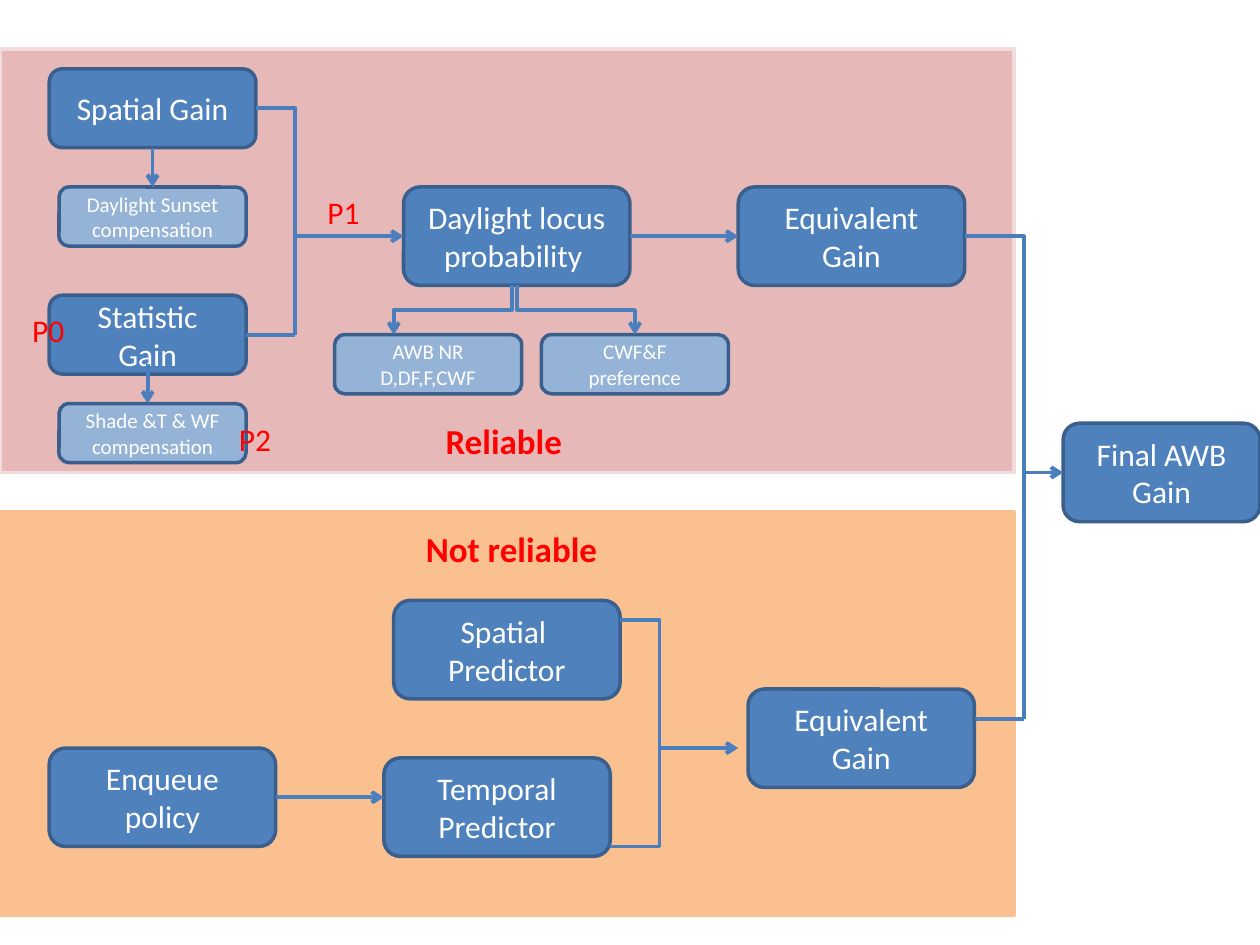
import dataclasses

import lxml.etree
import pptx
import pptx.dml.color
import pptx.enum.shapes
import pptx.enum.text
import pptx.oxml.ns
import pptx.util

SHAPE = pptx.enum.shapes.MSO_SHAPE
CONNECTOR = pptx.enum.shapes.MSO_CONNECTOR
ALIGN = pptx.enum.text.PP_ALIGN
qn = pptx.oxml.ns.qn
COLUMNS = 128


@dataclasses.dataclass(frozen=True)
class Theme:
    """Colours, font and sizes used on the slide."""
    font: str = "Calibri"
    stage: str = "4F81BD"
    detail: str = "95B3D7"
    outline: str = "3A5F8C"
    flow: str = "4B7EBC"
    reliable: str = "E6B9B8"
    reliable_edge: str = "F2DCDB"
    unreliable: str = "FAC090"
    on_box: str = "FFFFFF"
    accent: str = "FF0000"
    title_size: int = 20
    stage_size: int = 18
    detail_size: int = 12
    edge_width: float = 2
    flow_width: float = 2.25


THEME = Theme()
deck = pptx.Presentation()
deck.slide_width = pptx.util.Inches(10)
deck.slide_height = pptx.util.Inches(7.5)
slide = deck.slides.add_slide(deck.slide_layouts[6])


def cells(*counts):
    """Convert grid counts to slide lengths."""
    return [round(deck.slide_width * count / COLUMNS) for count in counts]


def rgb(code):
    """Return a colour from its hex code."""
    return pptx.dml.color.RGBColor.from_string(code)


def write(frame, lines, size, colour, align, bold=False):
    """Write one paragraph per line into a text frame."""
    for index, line in enumerate(lines):
        paragraph = frame.paragraphs[0] if index == 0 else frame.add_paragraph()
        paragraph.alignment = align
        run = paragraph.add_run()
        run.text = line
        run.font.name = THEME.font
        run.font.size = pptx.util.Pt(size)
        run.font.bold = bold
        run.font.color.rgb = rgb(colour)


def block(kind, x, y, width, height, fill, edge):
    """Draw a filled and outlined preset shape."""
    shape = slide.shapes.add_shape(kind, *cells(x, y, width, height))
    shape.shadow.inherit = False
    shape.fill.solid()
    shape.fill.fore_color.rgb = rgb(fill)
    shape.line.color.rgb = rgb(edge)
    shape.line.width = pptx.util.Pt(THEME.edge_width)
    return shape


def step(origin, x, y, width, height, fill, size, *lines):
    """Draw a rounded process box relative to its region."""
    shape = block(SHAPE.ROUNDED_RECTANGLE, origin[0] + x, origin[1] + y,
                  width, height, fill, THEME.outline)
    frame = shape.text_frame
    frame.word_wrap = True
    frame.vertical_anchor = pptx.enum.text.MSO_ANCHOR.MIDDLE
    write(frame, lines, size, THEME.on_box, ALIGN.CENTER)


def stage(origin, x, y, text, width=23, height=10):
    """Draw a main processing stage."""
    step(origin, x, y, width, height, THEME.stage, THEME.stage_size, text)


def detail(origin, x, y, *lines):
    """Draw a small correction box."""
    step(origin, x, y, 19, 6, THEME.detail, THEME.detail_size, *lines)


def label(origin, x, y, text, width=7, height=5.1, size=THEME.stage_size, bold=False):
    """Place a red label relative to its region."""
    box = slide.shapes.add_textbox(*cells(origin[0] + x, origin[1] + y, width, height))
    box.text_frame.word_wrap = True
    write(box.text_frame, [text], size, THEME.accent, ALIGN.LEFT, bold)


def flow(origin, x1, y1, x2, y2, arrow=False, kind=CONNECTOR.STRAIGHT):
    """Draw a connector relative to its region."""
    dx, dy = origin
    link = slide.shapes.add_connector(kind, *cells(dx + x1, dy + y1, dx + x2, dy + y2))
    link.line.color.rgb = rgb(THEME.flow)
    link.line.width = pptx.util.Pt(THEME.flow_width)
    if arrow:
        line = link.line._get_or_add_ln()
        lxml.etree.SubElement(line, qn("a:tailEnd"), type="arrow")
    properties = link._element.spPr
    lxml.etree.SubElement(properties, qn("a:effectLst"))
    return properties


def corner(origin, x1, y1, x2, y2):
    """Draw a connector that goes across and then down."""
    properties = flow(origin, x1, y1, x2, y2, kind=CONNECTOR.ELBOW)
    properties.find(qn("a:prstGeom")).set("prst", "bentConnector2")


def branch(origin, x1, y1, x2, y2):
    """Draw an arrow that goes down, across and down again."""
    middle_x, middle_y = (x1 + x2) / 2, (y1 + y2) / 2
    half_width, half_height = (y2 - y1) / 2, abs(x2 - x1) / 2
    side = 1 if x2 < x1 else -1
    properties = flow(origin, middle_x - side * half_width, middle_y - half_height,
                      middle_x + side * half_width, middle_y + half_height,
                      True, CONNECTOR.ELBOW)
    turn = 90 if side > 0 else 270
    properties.find(qn("a:xfrm")).set("rot", str(turn * 60000))


def reliable_region(x, y, width, height):
    """Draw the reliable estimation path."""
    origin = x, y
    block(SHAPE.RECTANGLE, x, y, width, height, THEME.reliable, THEME.reliable_edge)
    stage(origin, 5, 2, "Spatial Gain", 21, 8)
    stage(origin, 5, 25, "Statistic Gain", 20, 8)
    stage(origin, 41, 14, "Daylight locus probability ")
    stage(origin, 75, 14, "Equivalent Gain")
    detail(origin, 6, 14, "Daylight Sunset compensation")
    detail(origin, 6, 36, "Shade &T & WF compensation")
    detail(origin, 34, 29, "AWB NR", "D,DF,F,CWF")
    detail(origin, 55, 29, "CWF&F preference")
    flow(origin, 15.5, 10, 15.5, 14, True)
    flow(origin, 15, 32, 15, 36, True)
    corner(origin, 26, 6, 30, 29)
    flow(origin, 25, 29, 30, 29)
    flow(origin, 30, 19, 41, 19, True)
    flow(origin, 64, 19, 75, 19, True)
    branch(origin, 52.5, 24, 64.5, 29)
    branch(origin, 52, 24, 40, 29)
    label(origin, 44, 37, "Reliable", 17, 5.6, THEME.title_size, True)
    for mark, column, row in (("P0", 2, 26), ("P1", 32, 14), ("P2", 23, 37)):
        label(origin, column, row, mark)


def unreliable_region(x, y, width, height):
    """Draw the fallback prediction path."""
    origin = x, y
    block(SHAPE.RECTANGLE, x, y, width, height, THEME.unreliable, THEME.unreliable)
    stage(origin, 5, 24, "Enqueue policy")
    stage(origin, 40, 9, "Spatial  Predictor")
    stage(origin, 39, 25, "Temporal Predictor")
    stage(origin, 76, 18, "Equivalent Gain")
    flow(origin, 28, 29, 39, 29, True)
    corner(origin, 63, 11, 67, 34)
    flow(origin, 62, 34, 67, 34)
    flow(origin, 67, 24, 75, 24, True)
    label(origin, 42, 1, "Not reliable", 25, 5.6, THEME.title_size, True)


def final_region(x, y):
    """Join both paths into the final gain."""
    origin = x, y
    stage(origin, 10, 19, "Final AWB Gain", 20)
    corner(origin, 0, 0, 6, 49)
    flow(origin, 1, 49, 6, 49)
    flow(origin, 6, 24, 10, 24, True)


reliable_region(0, 5, 103, 43)
unreliable_region(0, 52, 103, 41)
final_region(98, 24)
deck.save("out.pptx")
